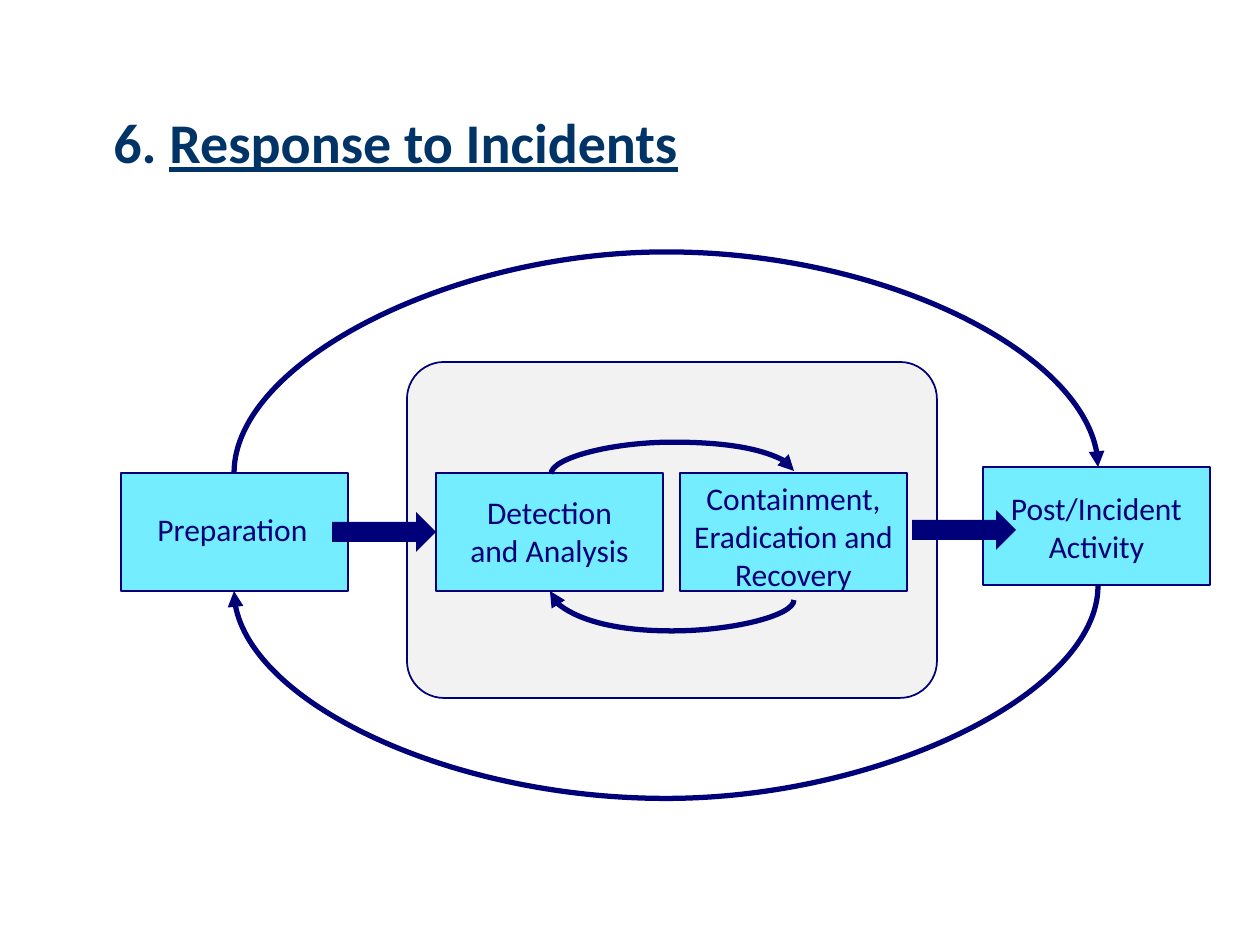
"""Build the incident response cycle slide."""
from lxml.etree import SubElement
from pptx import Presentation
from pptx.dml.color import RGBColor as Rgb
from pptx.enum.shapes import MSO_CONNECTOR as Link, MSO_SHAPE as Preset
from pptx.enum.text import MSO_ANCHOR as Anchor, PP_ALIGN as Align
from pptx.oxml.ns import qn
from pptx.util import Pt

SCALE = 914400 / 126
COLORS = {"navy": "000078", "title": "003366", "cyan": "73EDFF", "panel": "F2F2F2"}


def px(*lengths):
    return [round(length * SCALE) for length in lengths]


def color(name):
    return Rgb.from_string(COLORS[name])


def write(paragraph, text, size=18, ink="navy", bold=False, underline=False, align=Align.CENTER):
    paragraph.alignment = align
    run = paragraph.add_run()
    run.text = text
    font = run.font
    font.name, font.size = "Calibri", Pt(size)
    font.bold, font.underline = bold, underline
    font.color.rgb = color(ink)


class Diagram:
    def __init__(self, slide, font_size=18, thin=1, thick=3):
        self.shapes = slide.shapes
        self.font_size, self.thin, self.thick = font_size, thin, thick

    def block(self, preset, area, fill, outlined=True, parent=None):
        block = (parent or self.shapes).add_shape(preset, *px(*area))
        block.shadow.inherit = False
        block.fill.solid()
        block.fill.fore_color.rgb = color(fill)
        if outlined:
            block.line.color.rgb = color("navy")
            block.line.width = Pt(self.thin)
        else:
            block.line.fill.background()
        return block

    def label(self, area, anchor=Anchor.TOP, parent=None):
        frame = (parent or self.shapes).add_textbox(*px(*area)).text_frame
        frame.word_wrap = True
        frame.vertical_anchor = anchor
        return frame

    def heading(self, area, number, topic):
        line = self.label(area, Anchor.BOTTOM).paragraphs[0]
        look = dict(size=32, ink="title", bold=True, align=Align.LEFT)
        write(line, number, **look)
        write(line, topic, underline=True, **look)

    def phase(self, left, top, lines, label_area):
        phase = self.shapes.add_group_shape().shapes
        self.block(Preset.RECTANGLE, (left, top, 227, 118), "cyan", parent=phase)
        frame = self.label(label_area, parent=phase)
        for index, text in enumerate(lines):
            write(frame.add_paragraph() if index else frame.paragraphs[0], text, self.font_size)

    def step(self, left, top):
        self.block(Preset.RIGHT_ARROW, (left, top, 104, 40), "navy", outlined=False)

    def loop(self, start, end, peak):
        (x1, y1), (x2, y2) = start, end
        mid_x, mid_y = (x1 + x2) / 2, (y1 + y2) / 2
        half_x, half_y = (x2 - x1) / 2, (y2 - y1) / 2
        loop = self.shapes.add_connector(
            Link.CURVE, *px(mid_x - half_y, mid_y + half_x, mid_x + half_y, mid_y - half_x))
        loop.line.color.rgb = color("navy")
        loop.line.width = Pt(self.thick)
        properties = loop._element.spPr
        properties.find(qn("a:xfrm")).set("rot", str(90 * 60000))
        geometry = properties.find(qn("a:prstGeom"))
        guides = geometry.find(qn("a:avLst"))
        if guides is None:
            guides = SubElement(geometry, qn("a:avLst"))
        bend = round((peak - y1) / (y2 - y1) * 100000)
        SubElement(guides, qn("a:gd"), name="adj1", fmla=f"val {bend}")
        SubElement(properties.find(qn("a:ln")), qn("a:tailEnd"), type="triangle")
        SubElement(properties, qn("a:effectLst"))


def main():
    deck = Presentation()
    deck.slide_width, deck.slide_height = px(1260, 945)
    diagram = Diagram(deck.slides.add_slide(deck.slide_layouts[6]))

    core = diagram.block(Preset.ROUNDED_RECTANGLE, (407, 362, 530, 336), "panel")
    core.adjustments[0] = 0.11
    diagram.heading((101, 63, 1008, 118), "6. ", "Response to Incidents")

    for left, top, lines, label_area in (
        (121, 473, ["Preparation"], (133, 504, 199, 50)),
        (983, 467, ["Post/Incident", "Activity"], (997, 483, 199, 89)),
        (436, 473, ["Detection and Analysis"], (450, 487, 199, 89)),
        (680, 473, ["Containment, Eradication and Recovery"], (680, 473, 227, 127)),
    ):
        diagram.phase(left, top, lines, label_area)

    diagram.step(332, 512)
    diagram.step(912, 510)

    for start, end, peak in (
        ((1098, 586), (234, 591), 798),
        ((794, 600), (550, 591), 631),
        ((551, 474), (794, 471), 442),
        ((234, 473), (1098, 467), 252),
    ):
        diagram.loop(start, end, peak)

    deck.save("out.pptx")


if __name__ == "__main__":
    main()
